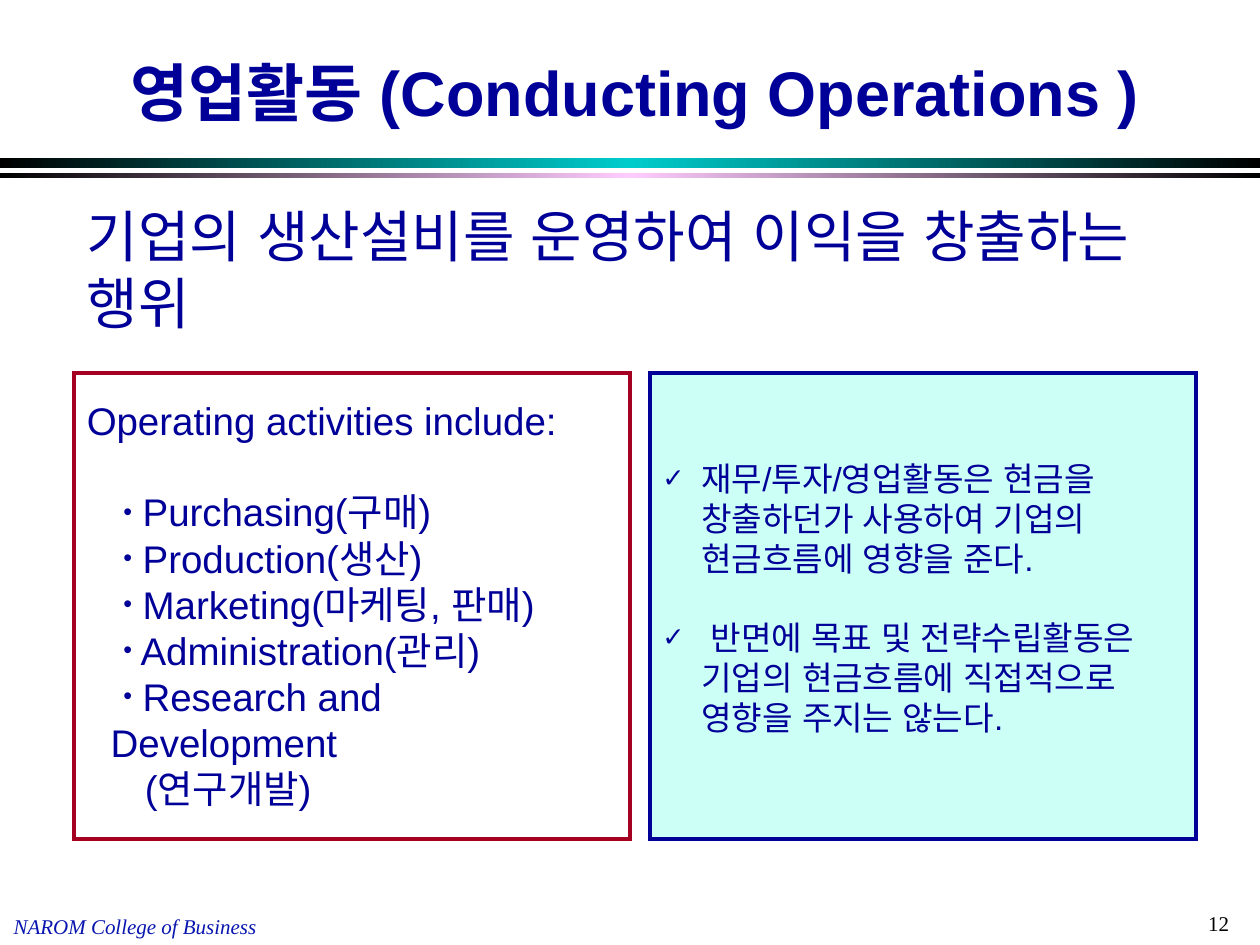
from lxml.etree import SubElement
from pptx import Presentation
from pptx.dml.color import RGBColor
from pptx.enum.shapes import MSO_SHAPE as Shape
from pptx.enum.text import MSO_ANCHOR as Anchor, PP_ALIGN as Align
from pptx.oxml.ns import qn
from pptx.util import Inches, Pt

WIDTH, HEIGHT = Inches(10), Inches(7.5)
NAVY, CRIMSON, MINT, BLACK = "000099", "A50021", "CCFFF5", "000000"
LEFT, FULL = 5.9, 89
PANEL_TOP, PANEL_HEIGHT = 39.47, 49.33
ACTIVITIES_WIDTH, NOTES_LEFT, NOTES_WIDTH = 44.1, 51.6, 43.3


def color(hex_code):
    return RGBColor.from_string(hex_code)


def area(left, top, width, height):
    """Turn percentages of the slide's size into lengths."""
    return (int(WIDTH * left / 100), int(HEIGHT * top / 100),
            int(WIDTH * width / 100), int(HEIGHT * height / 100))


def add_box(slide, place, fill=None, line=None):
    box = slide.shapes.add_shape(Shape.RECTANGLE, *area(*place))
    box.shadow.inherit = False
    if fill:
        box.fill.solid()
        box.fill.fore_color.rgb = color(fill)
    else:
        box.fill.background()
    if line:
        box.line.color.rgb = color(line)
        box.line.width = Pt(2.25)
        SubElement(box.line._get_or_add_ln(), qn("a:miter"), lim="800000")
    else:
        box.line.fill.background()
    return box


def add_band(slide, top, height, glow):
    """Draw a full-width stripe that fades from black to glow and back."""
    band = add_box(slide, (0, top, 100, height))
    band.fill.gradient()
    band.fill.gradient_angle = 0
    stops = band.fill._fill._gradFill.find(qn("a:gsLst"))
    for stop in list(stops):
        stops.remove(stop)
    for percent, shade in ((0, BLACK), (50, glow), (100, BLACK)):
        stop = SubElement(stops, qn("a:gs"), pos=str(percent * 1000))
        SubElement(stop, qn("a:srgbClr"), val=shade)


def add_frame(slide, place, anchor=Anchor.TOP):
    frame = slide.shapes.add_textbox(*area(*place)).text_frame
    frame.word_wrap = True
    frame.vertical_anchor = anchor
    return frame


def write(frame, text, size, font="Arial", ink=NAVY, bold=False, italic=False,
          align=Align.LEFT, after=0, margin=0, indent=0, bullet=None, bullet_size=100):
    """Fill the empty first paragraph or append one; margin and indent in inches."""
    paragraph = frame.paragraphs[0]
    if paragraph.runs:
        paragraph = frame.add_paragraph()
    paragraph.alignment = align
    paragraph.space_after = Pt(after)
    run = paragraph.add_run()
    run.text = text
    run.font.name, run.font.size = font, Pt(size)
    run.font.bold, run.font.italic = bold, italic
    run.font.color.rgb = color(ink)
    SubElement(run._r.get_or_add_rPr(), qn("a:ea"), typeface=font)
    properties = paragraph._p.get_or_add_pPr()
    properties.set("marL", str(Inches(margin)))
    properties.set("indent", str(Inches(indent)))
    if bullet:
        tint = SubElement(properties, qn("a:buClr"))
        SubElement(tint, qn("a:srgbClr"), val=ink)
        SubElement(properties, qn("a:buSzPct"), val=str(bullet_size * 1000))
        SubElement(properties, qn("a:buFont"), typeface=font)
        SubElement(properties, qn("a:buChar"), char=bullet)


def add_header(slide):
    add_band(slide, 16.67, 1.07, "00CCCC")
    add_band(slide, 18.27, 0.53, "FFCCFF")
    title = add_frame(slide, (LEFT, 1.07, FULL, 13.2), anchor=Anchor.BOTTOM)
    write(title, "영업활동 (Conducting Operations )", 36, bold=True, align=Align.CENTER)
    definition = add_frame(slide, (LEFT, 20.67, FULL, 15.6))
    write(definition, "기업의 생산설비를 운영하여 이익을 창출하는 행위", 32)


def add_activities(slide):
    add_box(slide, (LEFT, PANEL_TOP, ACTIVITIES_WIDTH, PANEL_HEIGHT), line=CRIMSON)
    activities = add_frame(slide, (LEFT, 41.33, ACTIVITIES_WIDTH, 47))
    write(activities, "Operating activities include:", 22, after=26)
    for activity in ("Purchasing(구매)", "Production(생산)", "Marketing(마케팅, 판매)",
                     "Administration(관리)", "Research and Development"):
        write(activities, " " + activity, 22, margin=0.19, indent=0.1,
              bullet="•", bullet_size=65)
    write(activities, "(연구개발)", 22, margin=0.19, indent=0.27)


def add_cash_notes(slide):
    add_box(slide, (NOTES_LEFT, PANEL_TOP, NOTES_WIDTH, PANEL_HEIGHT), fill=MINT, line=NAVY)
    notes = add_frame(slide, (NOTES_LEFT, 47.87, 41.3, 35.2))
    for note, after in (
            ("재무/투자/영업활동은 현금을 창출하던가 사용하여 기업의 현금흐름에 영향을 준다.", 22.5),
            (" 반면에 목표 및 전략수립활동은 기업의 현금흐름에 직접적으로 영향을 주지는 않는다.", 0)):
        write(notes, note, 19, after=after, margin=0.31, indent=-0.31,
              bullet="✓", bullet_size=80)


def add_footer(slide):
    school = add_frame(slide, (0.1, 96, 30, 4))
    write(school, "NAROM College of Business", 12, font="Times New Roman",
          ink="0915AF", italic=True)
    page = add_frame(slide, (94.9, 95.73, 5.1, 4))
    write(page, "12", 12, font="Times New Roman", ink=BLACK)


def main():
    deck = Presentation()
    deck.slide_width, deck.slide_height = WIDTH, HEIGHT
    slide = deck.slides.add_slide(deck.slide_layouts[6])
    add_header(slide)
    add_activities(slide)
    add_cash_notes(slide)
    add_footer(slide)
    deck.save("out.pptx")


if __name__ == "__main__":
    main()
